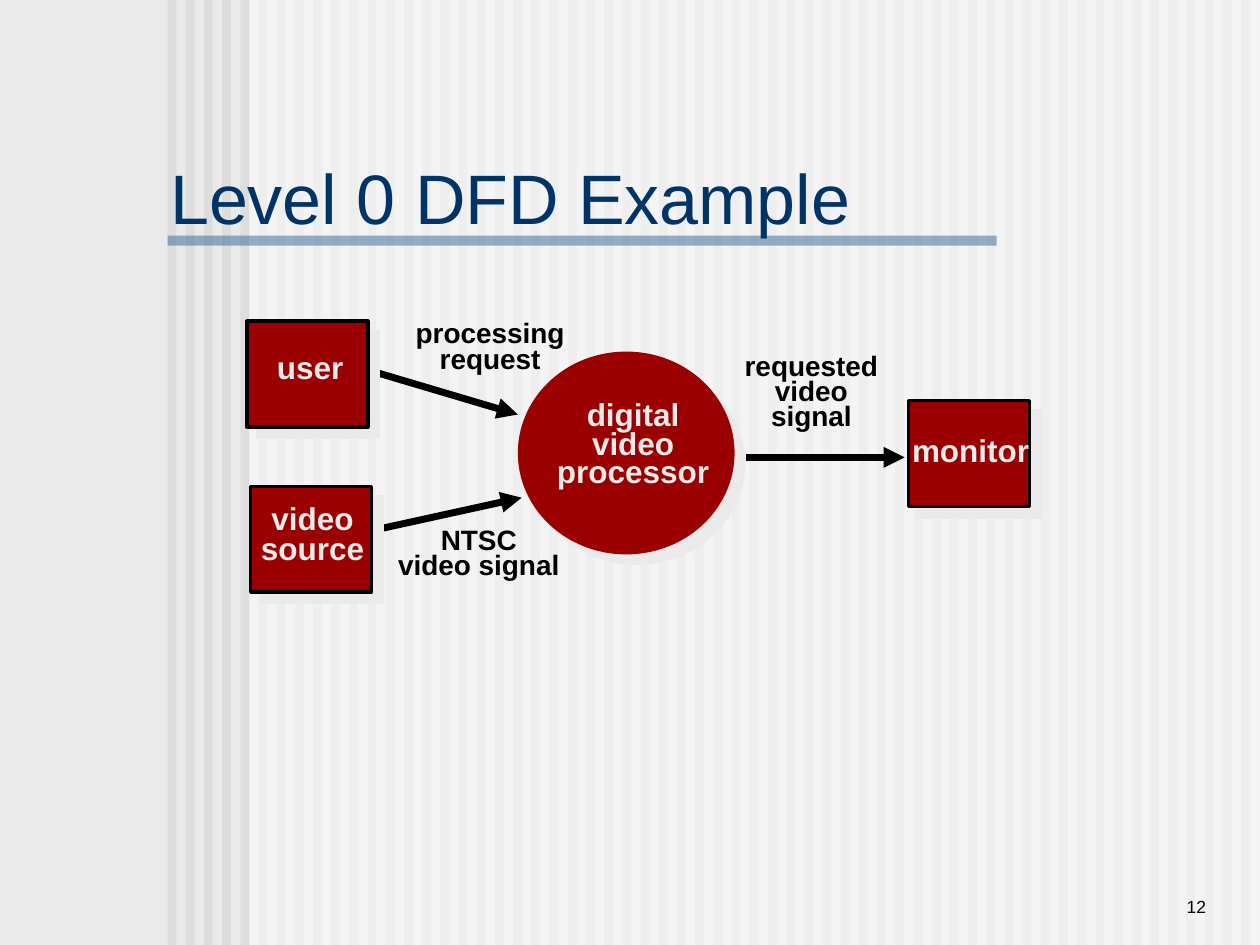
from dataclasses import dataclass
from lxml.etree import SubElement
from pptx import Presentation
from pptx.dml.color import RGBColor
from pptx.enum.shapes import MSO_CONNECTOR, MSO_SHAPE
from pptx.enum.text import MSO_ANCHOR, MSO_AUTO_SIZE, PP_ALIGN
from pptx.oxml.ns import qn
from pptx.util import Inches, Pt


@dataclass(frozen=True)
class Theme:
    font: str = "Arial"
    paper: str = "EAEAEA"
    stripe: str = "DDDDDD"
    veil: str = "FFFFFF"
    rule: str = "336699"
    title: str = "003366"
    node: str = "9A0000"
    ink: str = "000000"
    title_size: int = 40
    node_size: int = 18
    flow_size: int = 16
    number_size: int = 10


T = Theme()
W, H = 10, 7.5
TITLE = "Level 0 DFD Example"
PAGE = "12"
STRIPE_LEFT, STRIPE_W, STRIPES = 1.33, 0.07, 60
STRIPE_STEP = 8.52 / (STRIPES - 1)
BOX_W, BOX_H = 0.96, 0.84
PROCESS = (4.11, 2.79, 1.72, 1.61)
ENTITIES = [(1.96, 2.55), (1.99, 3.86), (7.21, 3.18)]
FLOWS = [
    ((2.83, 2.91), (4.11, 3.29)),
    ((2.82, 4.24), (4.14, 3.95)),
    ((5.92, 3.63), (7.18, 3.63)),
]
LEFT, CENTER = PP_ALIGN.LEFT, PP_ALIGN.CENTER
NODE_LABELS = [
    (["user"], (2.1, 2.71, 0.73, 0.4), LEFT, 1),
    (["video", "source"], (1.97, 3.97, 1.02, 0.58), CENTER, 0.8),
    (["digital", "video", "processor"], (4.32, 3.16, 1.41, 0.77), CENTER, 0.75),
    (["monitor"], (7.14, 3.37, 1.13, 0.4), LEFT, 1),
]
FLOW_LABELS = [
    (["processing ", "request"], (3.17, 2.52, 1.44, 0.5), CENTER, 0.75),
    (["NTSC", "video signal"], (3.06, 4.16, 1.48, 0.5), CENTER, 0.75),
    (["requested", "video", "signal"], (5.81, 2.78, 1.26, 0.7), CENTER, 0.75),
]


def rgb(color):
    return RGBColor.from_string(color)


def inches(values):
    return [Inches(v) for v in values]


def add_solid(shapes, kind, box, color, alpha=None):
    sp = shapes.add_shape(kind, *inches(box))
    sp.shadow.inherit = False
    sp.fill.solid()
    sp.fill.fore_color.rgb = rgb(color)
    sp.line.fill.background()
    if alpha:
        clr = sp.element.spPr.find(qn("a:solidFill"))[0]
        SubElement(clr, qn("a:alpha"), val=str(alpha * 1000))
    return sp


def add_node(shapes, kind, box):
    sp = add_solid(shapes, kind, box, T.node)
    effects = sp.element.spPr.find(qn("a:effectLst"))
    shadow = SubElement(effects, qn("a:outerShdw"), dist=str(Pt(8.5)),
                        dir=str(45 * 60000), algn="ctr", rotWithShape="0")
    SubElement(shadow, qn("a:srgbClr"), val=T.paper)
    return sp


def add_flow(shapes, start, end):
    line = shapes.add_connector(MSO_CONNECTOR.STRAIGHT, *inches(start + end))
    line.line.color.rgb = rgb(T.ink)
    line.line.width = Pt(4)
    SubElement(line.line._get_or_add_ln(), qn("a:tailEnd"), type="triangle")
    SubElement(line.element.spPr, qn("a:effectLst"))


def write(tf, lines, size, color, align=LEFT, spacing=1, bold=False):
    for i, text in enumerate(lines):
        p = tf.add_paragraph() if i else tf.paragraphs[0]
        p.text = text
        p.alignment = align
        p.line_spacing = spacing
        p.font.name = T.font
        p.font.size = Pt(size)
        p.font.bold = bold
        p.font.color.rgb = rgb(color)


def add_label(shapes, lines, box, align, spacing, size, color):
    tf = shapes.add_textbox(*inches(box)).text_frame
    tf.word_wrap = False
    tf.auto_size = MSO_AUTO_SIZE.SHAPE_TO_FIT_TEXT
    write(tf, lines, size, color, align, spacing, True)


def add_backdrop(s):
    s.background.fill.solid()
    s.background.fill.fore_color.rgb = rgb(T.paper)
    shapes = s.shapes.add_group_shape().shapes
    for i in range(STRIPES):
        left = STRIPE_LEFT + i * STRIPE_STEP
        add_solid(shapes, MSO_SHAPE.RECTANGLE, (left, 0, STRIPE_W, H), T.stripe)
    add_solid(shapes, MSO_SHAPE.RECTANGLE, (1.98, 0, W - 1.98, H), T.veil, 50)
    add_solid(shapes, MSO_SHAPE.RECTANGLE, (STRIPE_LEFT, 1.87, 6.58, 0.08), T.rule, 50)


def add_title(s):
    title = s.shapes.title
    title.element.getparent().append(title.element)
    title.left, title.top, title.width, title.height = inches((1.25, 1.17, 7.08, 0.78))
    tf = title.text_frame
    tf.vertical_anchor = MSO_ANCHOR.MIDDLE
    tf.auto_size = MSO_AUTO_SIZE.NONE
    write(tf, [TITLE], T.title_size, T.title)


def add_diagram(shapes):
    add_node(shapes, MSO_SHAPE.OVAL, PROCESS)
    for start, end in FLOWS:
        add_flow(shapes, start, end)
    for corner in ENTITIES:
        sp = add_node(shapes, MSO_SHAPE.RECTANGLE, corner + (BOX_W, BOX_H))
        sp.line.color.rgb = rgb(T.ink)
        sp.line.width = Pt(2)
    for label in NODE_LABELS:
        add_label(shapes, *label, T.node_size, T.paper)
    for label in FLOW_LABELS:
        add_label(shapes, *label, T.flow_size, T.ink)


def add_page_number(shapes):
    tf = shapes.add_textbox(*inches((8.25, 6.83, 1.42, 0.5))).text_frame
    tf.word_wrap = True
    tf.vertical_anchor = MSO_ANCHOR.BOTTOM
    write(tf, [PAGE], T.number_size, T.ink, PP_ALIGN.RIGHT)


def main():
    prs = Presentation()
    prs.slide_width, prs.slide_height = inches((W, H))
    s = prs.slides.add_slide(prs.slide_layouts[5])
    add_backdrop(s)
    add_title(s)
    add_diagram(s.shapes)
    add_page_number(s.shapes)
    prs.save("out.pptx")


if __name__ == "__main__":
    main()
